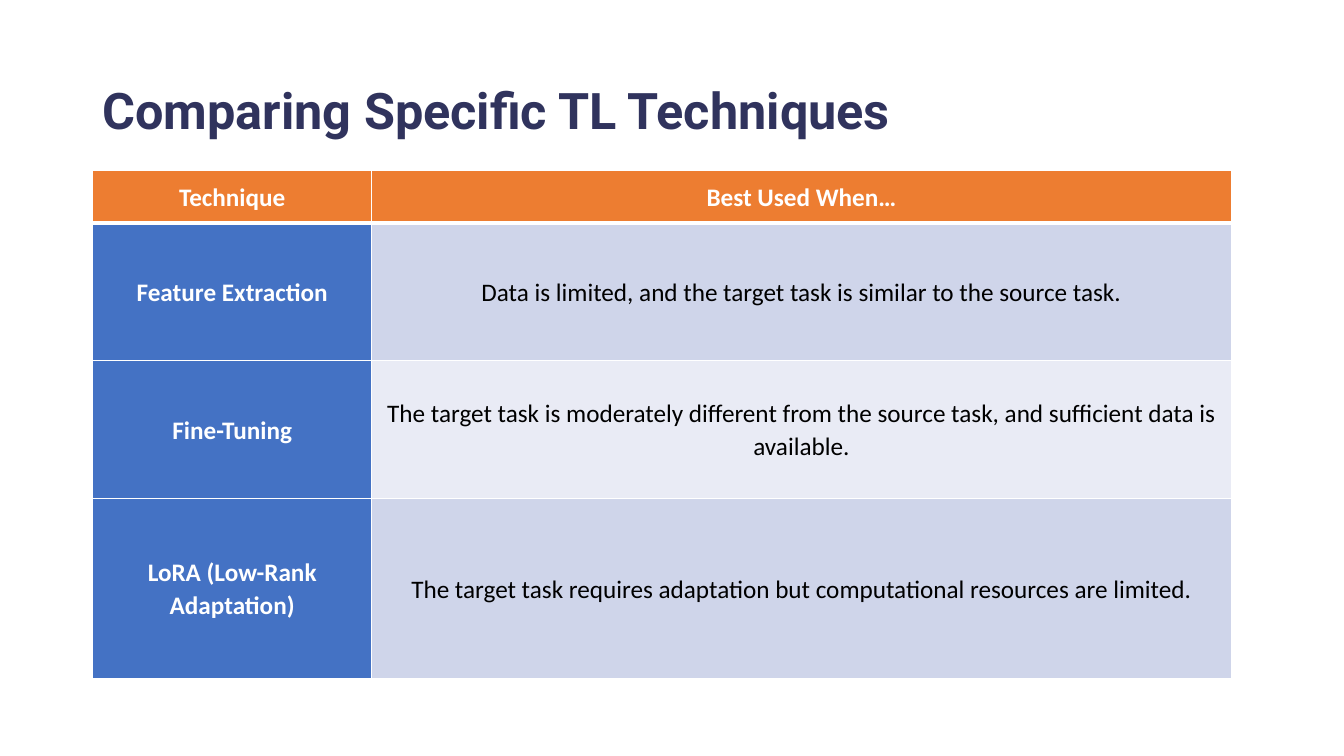
from dataclasses import dataclass

from lxml import etree
from pptx import Presentation
from pptx.dml.color import RGBColor
from pptx.enum.text import MSO_ANCHOR, MSO_AUTO_SIZE, PP_ALIGN
from pptx.oxml.ns import qn
from pptx.util import Pt

LEFT, CENTER = PP_ALIGN.LEFT, PP_ALIGN.CENTER
MIDDLE = MSO_ANCHOR.MIDDLE
NO_AUTOFIT = MSO_AUTO_SIZE.NONE
TITLE_ONLY = 5


@dataclass(frozen=True)
class Theme:
    title_font: str = "Roboto"
    body_font: str = "Calibri"
    title_size: int = 36
    body_size: int = 18
    navy: str = "30335D"
    white: str = "FFFFFF"
    black: str = "000000"
    header: str = "ED7D31"
    technique: str = "4472C4"
    bands: tuple = ("CFD5EA", "E9EBF5")
    rule: int = 1
    header_rule: int = 3


class SlideBuilder:
    def __init__(self, presentation, theme):
        self.theme = theme
        self.slide = presentation.slides.add_slide(
            presentation.slide_layouts[TITLE_ONLY])

    def style(self, paragraph, font, size, color, bold, align, spacing):
        paragraph.alignment = align
        paragraph.line_spacing = spacing
        paragraph.font.name = font
        paragraph.font.size = Pt(size)
        paragraph.font.bold = bold
        paragraph.font.color.rgb = RGBColor.from_string(color)

    def title(self, text, left, top, width, height):
        heading = self.slide.shapes.title
        heading.left, heading.top = Pt(left), Pt(top)
        heading.width, heading.height = Pt(width), Pt(height)
        frame = heading.text_frame
        frame.text = text
        frame.word_wrap = True
        frame.auto_size = NO_AUTOFIT
        frame.vertical_anchor = MIDDLE
        self.style(frame.paragraphs[0], self.theme.title_font,
                   self.theme.title_size, self.theme.navy, True, LEFT, 0.9)

    def borders(self, cell, top, bottom):
        properties = cell._tc.get_or_add_tcPr()
        rule = self.theme.rule
        sides = (("L", rule), ("R", rule), ("T", top), ("B", bottom))
        for position, (side, width) in enumerate(sides):
            line = etree.Element(qn(f"a:ln{side}"), w=str(Pt(width)))
            fill = etree.SubElement(line, qn("a:solidFill"))
            etree.SubElement(fill, qn("a:srgbClr"), val=self.theme.white)
            properties.insert(position, line)

    def cell(self, cell, text, fill, color, bold):
        cell.text = text
        cell.vertical_anchor = MIDDLE
        cell.margin_left = cell.margin_right = Pt(1.5)
        cell.margin_top = cell.margin_bottom = Pt(1.5)
        cell.fill.solid()
        cell.fill.fore_color.rgb = RGBColor.from_string(fill)
        paragraph = cell.text_frame.paragraphs[0]
        paragraph.space_after = Pt(8)
        self.style(paragraph, self.theme.body_font, self.theme.body_size,
                   color, bold, CENTER, 1.07)

    def table(self, rows, left, top, widths, heights):
        theme = self.theme
        table = self.slide.shapes.add_table(
            len(rows), len(widths), Pt(left), Pt(top),
            Pt(sum(widths)), Pt(sum(heights))).table
        for column, width in zip(table.columns, widths):
            column.width = Pt(width)
        for r, (texts, height) in enumerate(zip(rows, heights)):
            table.rows[r].height = Pt(height)
            for c, text in enumerate(texts):
                cell = table.cell(r, c)
                if r == 0:
                    look = theme.header, theme.white, True
                elif c == 0:
                    look = theme.technique, theme.white, True
                else:
                    look = theme.bands[(r - 1) % 2], theme.black, False
                self.cell(cell, text, *look)
                self.borders(
                    cell,
                    top=theme.header_rule if r == 1 else theme.rule,
                    bottom=theme.header_rule if r == 0 else theme.rule)


def main():
    presentation = Presentation()
    presentation.slide_width, presentation.slide_height = Pt(960), Pt(540)
    builder = SlideBuilder(presentation, Theme())

    # Title
    builder.title("Comparing Specific TL Techniques", 66, 28.75, 828, 104.4)

    # Technique comparison
    techniques = [
        ("Technique", "Best Used When…"),
        ("Feature Extraction",
         "Data is limited, and the target task is similar to the source task."),
        ("Fine-Tuning",
         "The target task is moderately different from the source task, "
         "and sufficient data is available."),
        ("LoRA (Low-Rank Adaptation)",
         "The target task requires adaptation but computational resources "
         "are limited."),
    ]
    builder.table(techniques, 66.3, 121.8, widths=(199.2, 614),
                  heights=(37.4, 98.4, 98.4, 128.7))

    presentation.save("out.pptx")


if __name__ == "__main__":
    main()
